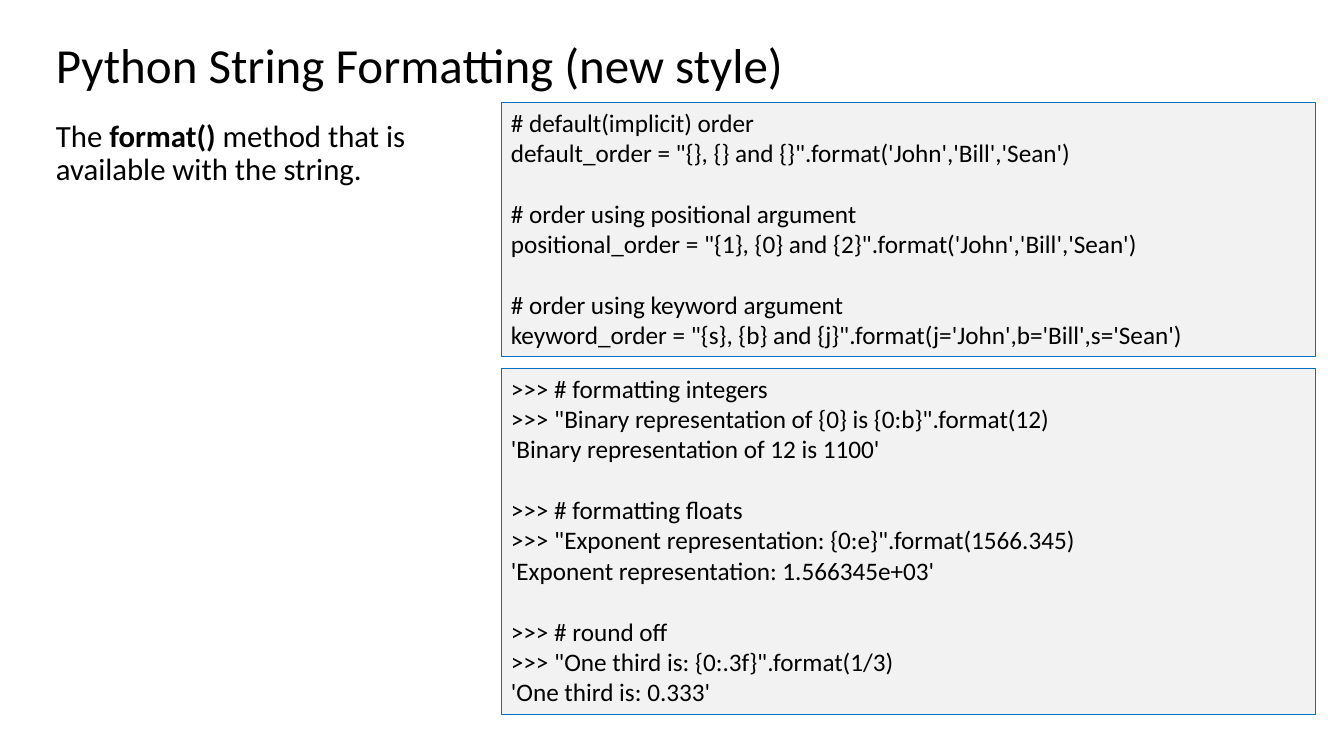
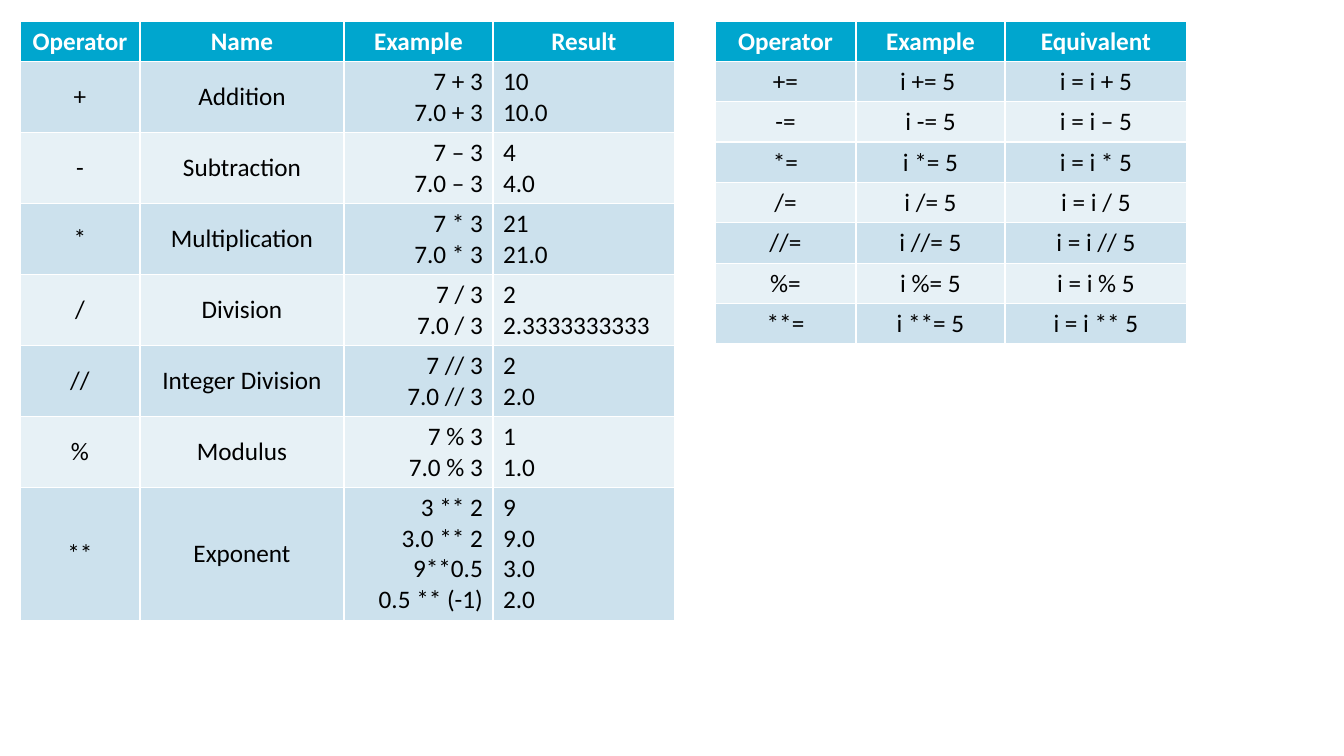
from pptx import Presentation
from pptx import util as u
from pptx.dml.color import RGBColor
from pptx.enum import shapes, text

PX_PER_INCH = 100.8
COLORS = {
    "ink": "000000",
    "white": "FFFFFF",
    "code_fill": "F2F2F2",
    "code_line": "0070C0",
    "header": "00A6CE",
    "band_dark": "CCE1ED",
    "band_light": "E7F1F6",
}
ALIGN = {"l": text.PP_ALIGN.LEFT, "c": text.PP_ALIGN.CENTER, "r": text.PP_ALIGN.RIGHT}
TOP, MIDDLE = text.MSO_ANCHOR.TOP, text.MSO_ANCHOR.MIDDLE

ORDER_CODE = [
    ["# default(implicit) order",
     "default_order = \"{}, {} and {}\".format('John','Bill','Sean')"],
    ["# order using positional argument",
     "positional_order = \"{1}, {0} and {2}\".format('John','Bill','Sean')"],
    ["# order using keyword argument",
     "keyword_order = \"{s}, {b} and {j}\".format(j='John',b='Bill',s='Sean')"],
]
NUMBER_CODE = [
    [">>> # formatting integers",
     ">>> \"Binary representation of {0} is {0:b}\".format(12)",
     "'Binary representation of 12 is 1100'"],
    [">>> # formatting floats",
     ">>> \"Exponent representation: {0:e}\".format(1566.345)",
     "'Exponent representation: 1.566345e+03'"],
    [">>> # round off",
     ">>> \"One third is: {0:.3f}\".format(1/3)",
     "'One third is: 0.333'"],
]
ARITHMETIC = [
    ["Operator", "Name", "Example", "Result"],
    ["+", "Addition", "7 + 3\n7.0 + 3", "10\n10.0"],
    ["-", "Subtraction", "7 – 3\n7.0 – 3", "4\n4.0"],
    ["*", "Multiplication", "7 * 3\n7.0 * 3", "21\n21.0"],
    ["/", "Division", "7 / 3\n7.0 / 3", "2\n2.3333333333"],
    ["//", "Integer Division", "7 // 3\n7.0 // 3", "2\n2.0"],
    ["%", "Modulus", "7 % 3\n7.0 % 3", "1\n1.0"],
    ["**", "Exponent", "3 ** 2\n3.0 ** 2\n9**0.5\n0.5 ** (-1)", "9\n9.0\n3.0\n2.0"],
]
ASSIGNMENT = [
    ["Operator", "Example", "Equivalent"],
    ["+=", "i += 5 ", "i = i + 5"],
    ["-=", "i -= 5", "i = i – 5"],
    ["*=", "i *= 5", "i = i * 5"],
    ["/=", "i /= 5", "i = i / 5"],
    ["//=", "i //= 5", "i = i // 5"],
    ["%=", "i %= 5", "i = i % 5"],
    ["**=", "i **= 5", "i = i ** 5"],
]


def px(n):
    return u.Inches(n / PX_PER_INCH)


def rgb(name):
    return RGBColor.from_string(COLORS[name])


class Deck:
    font = "Calibri"
    code_size = 18
    code_gap = 22
    line_height = 31
    cell_padding = 9

    def __init__(self):
        self.prs = Presentation()
        self.prs.slide_width, self.prs.slide_height = px(1344), px(756)

    def new_slide(self):
        self.s = self.prs.slides.add_slide(self.prs.slide_layouts[6])

    def add_run(self, p, words, size, color="ink", bold=False):
        r = p.add_run()
        r.text = words
        r.font.color.rgb = rgb(color)
        for key, value in {"name": self.font, "size": u.Pt(size), "bold": bold}.items():
            setattr(r.font, key, value)

    def text_box(self, box, runs, size, anchor=TOP):
        """One paragraph of (words, bold) runs."""
        tf = self.s.shapes.add_textbox(*map(px, box)).text_frame
        tf.word_wrap, tf.vertical_anchor = True, anchor
        p = tf.paragraphs[0]
        p.line_spacing = 0.9
        for words, bold in runs:
            self.add_run(p, words, size, bold=bold)

    def title(self, words):
        self.text_box((46, 38, 1269, 59), [(words, False)], 35, MIDDLE)

    def code_box(self, box, groups):
        """Lines of code, with a one-line gap between groups."""
        sp = self.s.shapes.add_shape(shapes.MSO_SHAPE.RECTANGLE, *map(px, box))
        sp.shadow.inherit = False
        sp.fill.solid()
        sp.fill.fore_color.rgb = rgb("code_fill")
        sp.line.color.rgb = rgb("code_line")
        sp.line.width = u.Pt(0.5)
        tf = sp.text_frame
        tf.word_wrap, tf.vertical_anchor = True, TOP
        tf.auto_size = text.MSO_AUTO_SIZE.SHAPE_TO_FIT_TEXT
        for g, lines in enumerate(groups):
            for i, line in enumerate(lines):
                p = tf.add_paragraph() if g or i else tf.paragraphs[0]
                p.alignment = ALIGN["l"]
                if g and not i:
                    p.space_before = u.Pt(self.code_gap)
                self.add_run(p, line, self.code_size)

    def cell(self, cell, words, align, fill, header):
        cell.fill.solid()
        cell.fill.fore_color.rgb = rgb(fill)
        cell.vertical_anchor = TOP if header else MIDDLE
        tf = cell.text_frame
        for i, line in enumerate(words.split("\n")):
            p = tf.add_paragraph() if i else tf.paragraphs[0]
            p.alignment = ALIGN[align]
            self.add_run(p, line, self.code_size, "white" if header else "ink", header)

    def table(self, left, top, widths, aligns, rows):
        """Header row and banded body; the default table style draws the white rules."""
        heights = [self.cell_padding + self.line_height * (row[-1].count("\n") + 1)
                   for row in rows]
        box = left, top, sum(widths), sum(heights)
        table = self.s.shapes.add_table(len(rows), len(widths), *map(px, box)).table
        for column, width in zip(table.columns, widths):
            column.width = px(width)
        for i, row in enumerate(rows):
            table.rows[i].height = px(heights[i])
            fill = ("band_dark" if i % 2 else "band_light") if i else "header"
            for j, words in enumerate(row):
                self.cell(table.cell(i, j), words, aligns[j] if i else "c", fill, i == 0)


def main():
    deck = Deck()

    deck.new_slide()
    deck.title("Python String Formatting (new style)")
    deck.code_box((501, 102, 814, 254), ORDER_CODE)
    deck.code_box((501, 368, 814, 346), NUMBER_CODE)
    deck.text_box((46, 116, 421, 541), [
        ("The ", False),
        ("format() ", True),
        ("method that is available with the string.", False),
    ], 22)

    deck.new_slide()
    deck.table(20, 21, [120, 204, 149, 182], "ccrl", ARITHMETIC)
    deck.table(715, 21, [141, 149, 182], "ccc", ASSIGNMENT)

    deck.prs.save("out.pptx")


if __name__ == "__main__":
    main()
